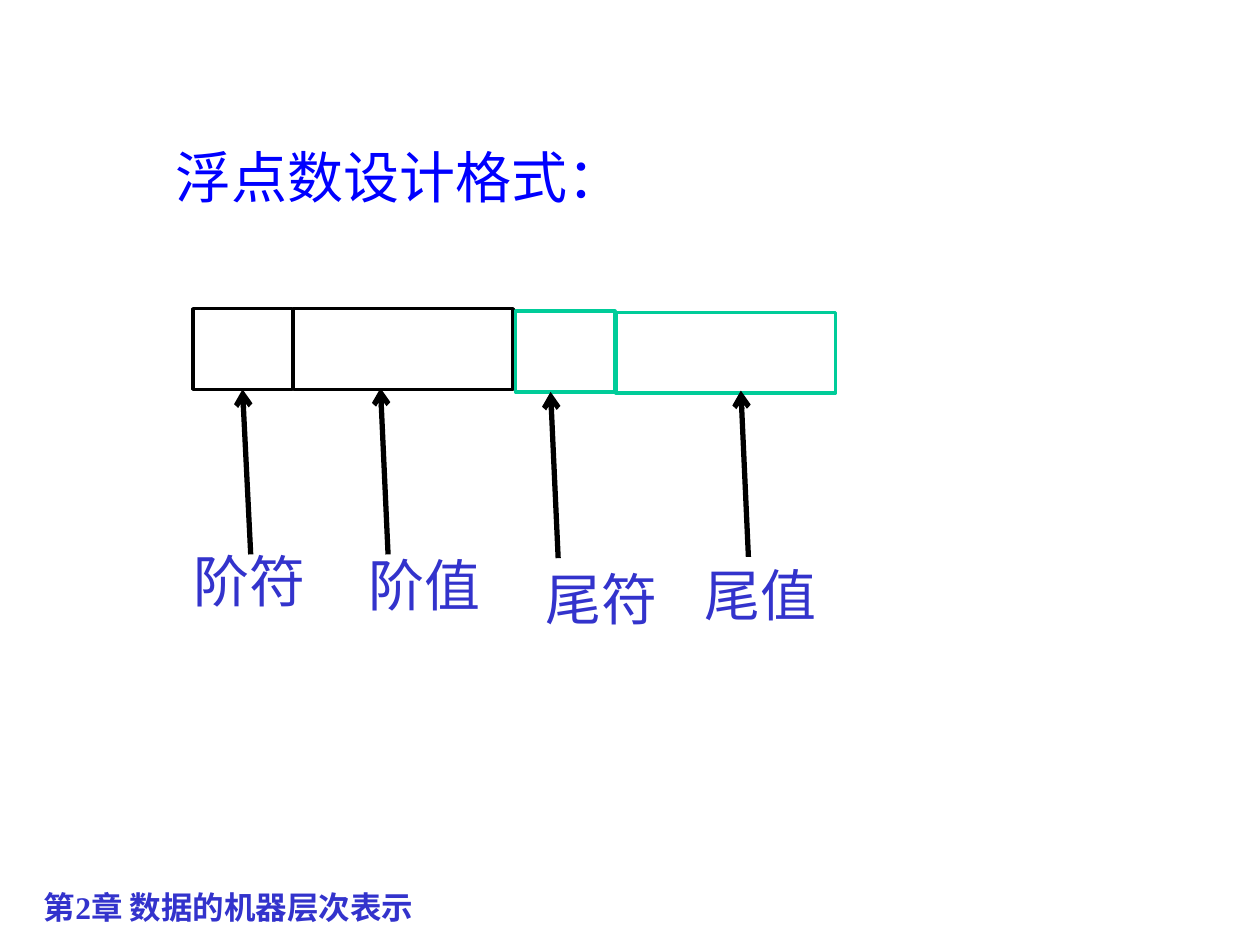
from pptx import Presentation, util as u
from pptx.dml.color import RGBColor
from pptx.enum import shapes, text
from pptx.oxml.ns import qn
from lxml import etree

THEME = {
    "black": "000000", "white": "FFFFFF", "green": "00CC99",
    "title": "0000FF", "label": "3333CC",
    "large": 32, "small": 18, "box_line": 2, "arrow_line": 3,
    "cjk": "Noto Sans CJK JP", "sans": "Arial", "serif": "Times New Roman",
}

prs = Presentation()
prs.slide_width, prs.slide_height = u.Inches(10), u.Inches(7.5)
COL, ROW = prs.slide_width / 100, prs.slide_height / 75
s = prs.slides.add_slide(prs.slide_layouts[5])


def grid(x, y, w, h):
    return [round(n) for n in (x * COL, y * ROW, w * COL, h * ROW)]


def write(sp, words, size, font, color, bold=False):
    tf = sp.text_frame
    tf.word_wrap = True
    tf.auto_size = text.MSO_AUTO_SIZE.NONE
    tf.vertical_anchor = text.MSO_ANCHOR.TOP
    p = tf.paragraphs[0]
    p.alignment = text.PP_ALIGN.LEFT
    r = p.add_run()
    r.text = words
    r.font.size, r.font.bold = u.Pt(THEME[size]), bold
    r.font.color.rgb = RGBColor.from_string(THEME[color])
    r.font.name = THEME[font]
    ea = etree.SubElement(r.font._element, qn("a:ea"))
    ea.set("typeface", THEME["cjk"])


title = s.shapes.title
title.left, title.top, title.width, title.height = grid(12.9, 10.8, 59.1, 6.4)
write(title, "浮点数设计格式：", "large", "cjk", "title")

footer = s.shapes.add_textbox(*grid(2.5, 70, 58.3, 2.5))
write(footer, "第2章 数据的机器层次表示", "small", "serif", "label", True)

fields = [
    ("阶符", 15.3, 24.5, 7.9, "black", 19.3, 30.8, 14.4, 42.9),
    ("阶值", 23.3, 24.5, 17.4, "black", 30.2, 30.8, 28.3, 43.2),
    ("尾符", 40.9, 24.7, 7.9, "green", 43.7, 31.1, 42.3, 44.3),
    ("尾值", 48.9, 24.8, 17.4, "green", 58.8, 31.0, 54.9, 44.0),
]

boxes = []
for name, x, y, w, color, *rest in fields:
    sp = s.shapes.add_shape(shapes.MSO_SHAPE.FLOWCHART_PROCESS, *grid(x, y, w, 6.4))
    sp.shadow.inherit = False
    sp.fill.solid()
    sp.fill.fore_color.rgb = RGBColor.from_string(THEME["white"])
    sp.line.color.rgb = RGBColor.from_string(THEME[color])
    sp.line.width = u.Pt(THEME["box_line"])
    boxes.append(sp)

for i, (name, x, y, w, color, tip_x, tip_y, label_x, label_y) in enumerate(fields):
    ends = grid(tip_x + 0.6, tip_y + 13.2, tip_x, tip_y)
    arrow = s.shapes.add_connector(shapes.MSO_CONNECTOR.STRAIGHT, *ends)
    if i == 0:
        arrow.end_connect(boxes[i], 2)
    arrow.line.color.rgb = RGBColor.from_string(THEME["black"])
    arrow.line.width = u.Pt(THEME["arrow_line"])
    etree.SubElement(arrow.line._get_or_add_ln(), qn("a:tailEnd")).set("type", "arrow")
    etree.SubElement(arrow._element.spPr, qn("a:effectLst"))

    label = s.shapes.add_textbox(*grid(label_x, label_y, 12.6, 6.4))
    write(label, name, "large", "sans", "label")

prs.save("out.pptx")
